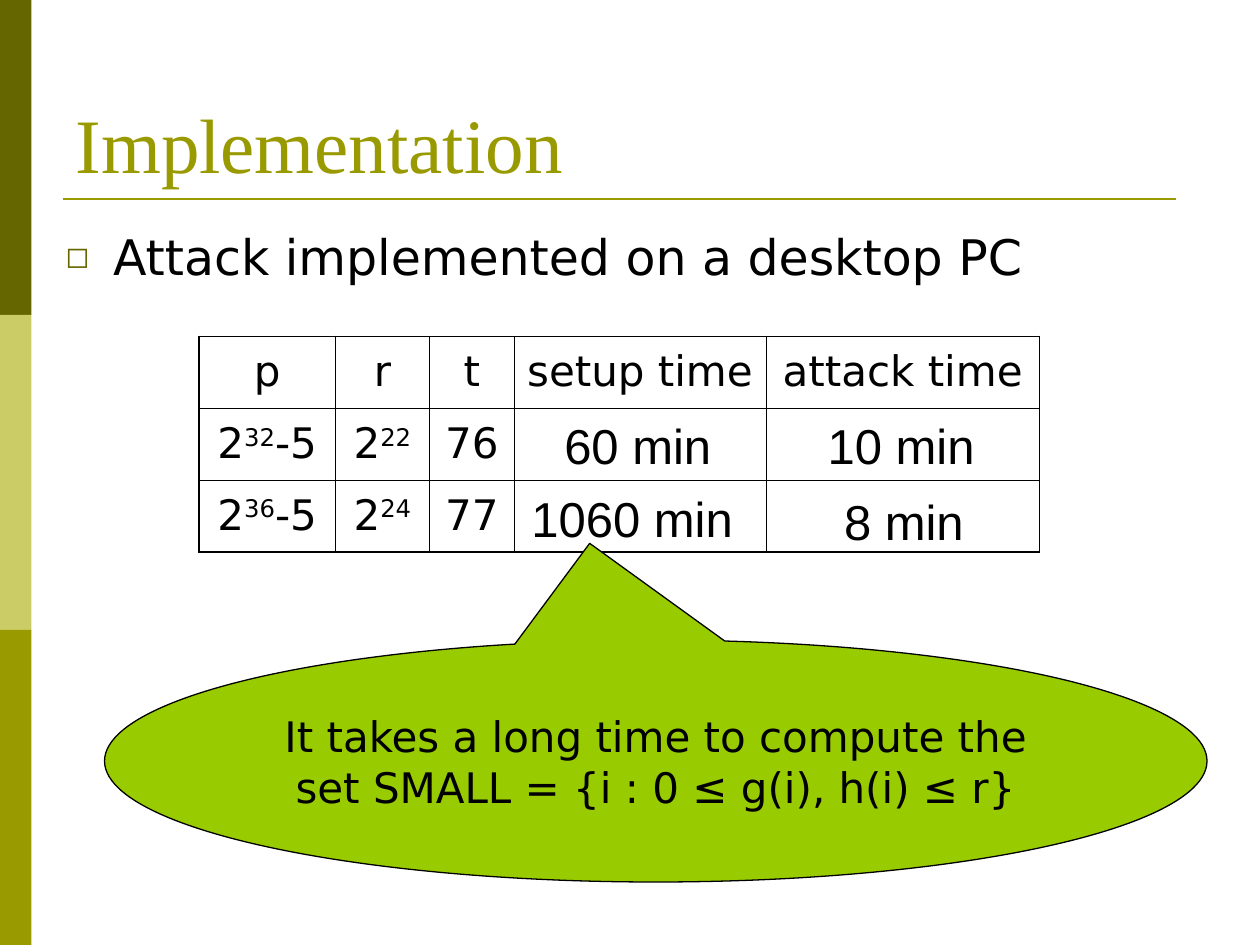
from dataclasses import dataclass

from lxml import etree
from pptx import Presentation
from pptx import util as u
from pptx.dml.color import RGBColor
from pptx.enum import shapes, text
from pptx.oxml.ns import qn


@dataclass(frozen=True)
class Theme:
    olive: str = "999900"
    dark_olive: str = "666600"
    pale_olive: str = "CCCC66"
    lime: str = "99CC00"
    ink: str = "000000"
    title_font: str = "Times New Roman"
    body_font: str = "DejaVu Sans"
    time_font: str = "Arial"
    title_size: int = 44
    body_size: int = 28
    cell_size: int = 24
    outer_border: float = 1.08
    inner_border: float = 0.45


THEME = Theme()
WIDTH, HEIGHT = 10, 7.5
TABLE_LEFT, TABLE_TOP, ROW_HEIGHT = 1.58, 2.67, 0.57
COLUMN_WIDTHS = [1.08, 0.75, 0.67, 2, 2.17]
TABLE_ROWS = [
    [["p"], ["r"], ["t"], ["setup time"], ["attack time"]],
    [["2", "32", "-5"], ["2", "22"], ["76"], [], []],
    [["2", "36", "-5"], ["2", "24"], ["77"], [], []],
]
TIMES = [
    ("60 min", 4.38, 3.25, 1.42),
    ("1060 min", 4.12, 3.83, 1.86),
    ("10 min", 6.47, 3.25, 1.42),
    ("8 min", 6.6, 3.85, 1.21),
]


def inches(*lengths):
    return [u.Inches(length) for length in lengths]


def style(paragraph, font, size, color=THEME.ink, align=text.PP_ALIGN.LEFT):
    paragraph.alignment = align
    for run in paragraph.runs:
        run.font.name = font
        run.font.size = u.Pt(size)
        run.font.color.rgb = RGBColor.from_string(color)


def paint(shape, color, line_width=None):
    shape.shadow.inherit = False
    shape.fill.solid()
    shape.fill.fore_color.rgb = RGBColor.from_string(color)
    if line_width is None:
        shape.line.fill.background()
    else:
        shape.line.color.rgb = RGBColor.from_string(THEME.ink)
        shape.line.width = u.Pt(line_width)


def add_side_bands(slide):
    colors = [THEME.dark_olive, THEME.pale_olive, THEME.olive]
    band_height = HEIGHT / len(colors)
    for index, color in enumerate(colors):
        band = slide.shapes.add_shape(
            shapes.MSO_SHAPE.RECTANGLE,
            *inches(0, index * band_height, WIDTH / 40, band_height))
        paint(band, color)


def add_title_rule(slide):
    rule = slide.shapes.add_connector(
        shapes.MSO_CONNECTOR.STRAIGHT, *inches(0.5, 1.58, 9.33, 1.58))
    rule.line.color.rgb = RGBColor.from_string(THEME.olive)
    rule.line.width = u.Pt(1.5)
    etree.SubElement(rule._element.spPr, qn("a:effectLst"))


def set_title(slide, wording):
    title = slide.shapes.title
    title.left, title.top, title.width, title.height = inches(0.5, 0.3, 9, 1.25)
    frame = title.text_frame
    frame.text = wording
    frame.auto_size = text.MSO_AUTO_SIZE.NONE
    frame.vertical_anchor = text.MSO_ANCHOR.BOTTOM
    style(frame.paragraphs[0], THEME.title_font, THEME.title_size, THEME.olive)


def add_bullet(slide, wording):
    frame = slide.shapes.add_textbox(*inches(0.42, 1.75, 9, 0.7)).text_frame
    frame.word_wrap = True
    frame.text = wording
    paragraph = frame.paragraphs[0]
    paragraph.space_before = u.Pt(7)
    style(paragraph, THEME.body_font, THEME.body_size)
    properties = paragraph._p.get_or_add_pPr()
    properties.set("marL", str(u.Inches(0.38)))
    properties.set("indent", str(u.Inches(-0.38)))
    bullet_color = etree.SubElement(properties, qn("a:buClr"))
    etree.SubElement(bullet_color, qn("a:srgbClr"), val=THEME.dark_olive)
    etree.SubElement(properties, qn("a:buSzPct"), val="60000")
    etree.SubElement(properties, qn("a:buFont"), typeface=THEME.body_font)
    etree.SubElement(properties, qn("a:buChar"), char="◻")


def set_borders(cell, outer_sides):
    properties = cell._tc.get_or_add_tcPr()
    for side, is_outer in zip("LRTB", outer_sides):
        width = THEME.outer_border if is_outer else THEME.inner_border
        border = etree.SubElement(properties, qn(f"a:ln{side}"), w=str(u.Pt(width)))
        fill = etree.SubElement(border, qn("a:solidFill"))
        etree.SubElement(fill, qn("a:srgbClr"), val=THEME.ink)


def fill_cell(cell, parts):
    cell.vertical_anchor = text.MSO_ANCHOR.MIDDLE
    cell.fill.background()
    paragraph = cell.text_frame.paragraphs[0]
    paragraph.space_before = u.Pt(6)
    for index, part in enumerate(parts):
        run = paragraph.add_run()
        run.text = part
        if index == 1:
            run._r.get_or_add_rPr().set("baseline", "30000")
    style(paragraph, THEME.body_font, THEME.cell_size, align=text.PP_ALIGN.CENTER)


def add_results_table(slide):
    row_count, column_count = len(TABLE_ROWS), len(COLUMN_WIDTHS)
    results = slide.shapes.add_table(
        row_count, column_count,
        *inches(TABLE_LEFT, TABLE_TOP, sum(COLUMN_WIDTHS), row_count * ROW_HEIGHT)).table
    results.first_row = results.horz_banding = False
    for column, width in zip(results.columns, COLUMN_WIDTHS):
        column.width = u.Inches(width)
    for r, row in enumerate(TABLE_ROWS):
        for c, parts in enumerate(row):
            cell = results.cell(r, c)
            set_borders(cell, (c == 0, c == column_count - 1, r == 0, r == row_count - 1))
            fill_cell(cell, parts)


def add_time(slide, wording, left, top, width):
    frame = slide.shapes.add_textbox(*inches(left, top, width, ROW_HEIGHT)).text_frame
    frame.word_wrap = False
    frame.auto_size = text.MSO_AUTO_SIZE.NONE
    frame.text = wording
    style(frame.paragraphs[0], THEME.time_font, THEME.body_size)


def add_callout(slide, wording):
    callout = slide.shapes.add_shape(
        shapes.MSO_SHAPE.OVAL_CALLOUT, *inches(0.83, 5.08, 8.75, 1.92))
    callout.adjustments[0], callout.adjustments[1] = -0.06, -0.9
    paint(callout, THEME.lime, 0.75)
    frame = callout.text_frame
    frame.word_wrap = True
    frame.vertical_anchor = text.MSO_ANCHOR.MIDDLE
    frame.text = wording
    style(frame.paragraphs[0], THEME.body_font, THEME.cell_size,
          align=text.PP_ALIGN.CENTER)


def main():
    deck = Presentation()
    deck.slide_width, deck.slide_height = inches(WIDTH, HEIGHT)
    slide = deck.slides.add_slide(deck.slide_layouts.get_by_name("Title Only"))
    add_side_bands(slide)
    add_title_rule(slide)
    set_title(slide, "Implementation")
    add_bullet(slide, "Attack implemented on a desktop PC")
    add_results_table(slide)
    for time in TIMES:
        add_time(slide, *time)
    add_callout(slide, "It takes a long time to compute the set "
                       "SMALL = {i : 0 ≤ g(i), h(i) ≤ r}")
    deck.save("out.pptx")


if __name__ == "__main__":
    main()
